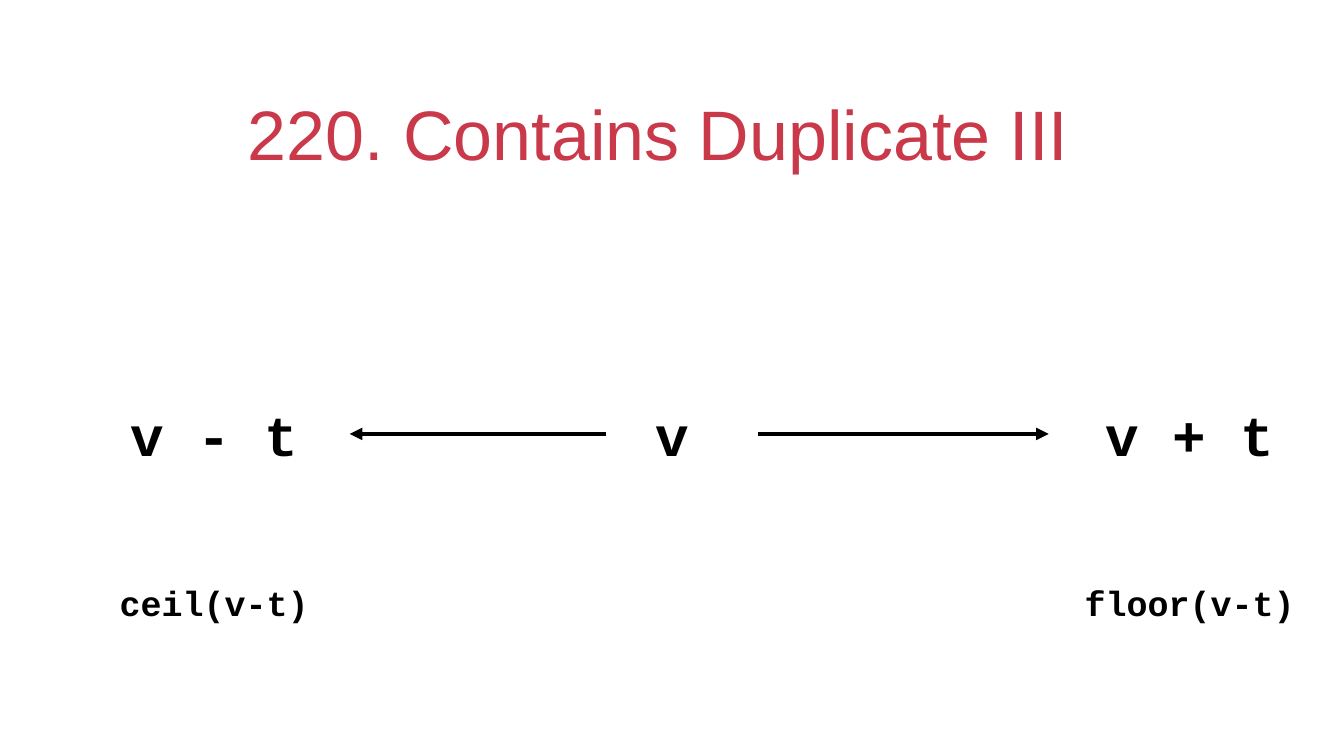
from lxml import etree
from pptx import Presentation
from pptx.dml.color import RGBColor
from pptx.enum.shapes import MSO_CONNECTOR
from pptx.enum.text import MSO_ANCHOR, MSO_AUTO_SIZE, PP_ALIGN
from pptx.oxml.ns import qn
from pptx.util import Inches, Pt

STRAIGHT = MSO_CONNECTOR.STRAIGHT
BOTTOM, MIDDLE = MSO_ANCHOR.BOTTOM, MSO_ANCHOR.MIDDLE
NO_FIT, GROW = MSO_AUTO_SIZE.NONE, MSO_AUTO_SIZE.SHAPE_TO_FIT_TEXT
CENTER = PP_ALIGN.CENTER

COLORS = {"title": "C9394A", "ink": "000000"}
WIDTH, HEIGHT = 26.67, 15
INSET = 0.06

TITLE = "220. Contains Duplicate III"
COLUMNS = {"low": 4.25, "value": WIDTH / 2, "high": 23.61}  # column centres
ROWS = {  # centre, box width, box height, text size
    "range": (8.61, 3.53, 1.4, 80),
    "lookup": (11.95, 5.76, 0.92, 50),
}
LABELS = [
    ("range", "low", "v - t"),
    ("range", "value", "v"),
    ("range", "high", "v + t"),
    ("lookup", "low", "ceil(v-t)"),
    ("lookup", "high", "floor(v-t)"),
]
ARROWS = [(12.03, 6.94), (15.05, 20.81)]  # start and head on the range row


def write(shape, text, font_name, size, color, anchor, fit, bold=False):
    frame = shape.text_frame
    frame.word_wrap = True
    frame.auto_size = fit
    frame.vertical_anchor = anchor
    frame.margin_left = frame.margin_right = Inches(INSET)
    frame.margin_top = frame.margin_bottom = Inches(INSET)
    paragraph = frame.paragraphs[0]
    paragraph.alignment = CENTER
    run = paragraph.add_run()
    run.text = text
    run.font.name = font_name
    run.font.size = Pt(size)
    run.font.bold = bold
    run.font.color.rgb = RGBColor.from_string(COLORS[color])


def add_title(slide):
    title = slide.shapes.title
    title.left, title.top = Inches(1.94), Inches(1.3)
    title.width, title.height = Inches(22.78), Inches(2.22)
    write(title, TITLE, "Arial", 100, "title", BOTTOM, NO_FIT)
    # A wider right inset sets the title slightly left of centre.
    title.text_frame.margin_right = Inches(0.6)


def add_label(slide, row, column, text):
    middle, width, height, size = ROWS[row]
    box = slide.shapes.add_textbox(
        Inches(COLUMNS[column] - width / 2), Inches(middle - height / 2),
        Inches(width), Inches(height))
    write(box, text, "Courier New", size, "ink", MIDDLE, GROW, bold=True)


def add_arrow(slide, start, head):
    y = Inches(ROWS["range"][0])
    arrow = slide.shapes.add_connector(STRAIGHT, Inches(start), y, Inches(head), y)
    arrow.line.width = Pt(6)
    arrow.line.color.rgb = RGBColor.from_string(COLORS["ink"])
    properties = arrow.line._get_or_add_ln()
    etree.SubElement(properties, qn("a:tailEnd"), type="triangle")
    etree.SubElement(properties.getparent(), qn("a:effectLst"))


def main():
    presentation = Presentation()
    presentation.slide_width = Inches(WIDTH)
    presentation.slide_height = Inches(HEIGHT)
    slide = presentation.slides.add_slide(presentation.slide_layouts[5])
    add_title(slide)
    for label in LABELS:
        add_label(slide, *label)
    for arrow in ARROWS:
        add_arrow(slide, *arrow)
    presentation.save("out.pptx")


if __name__ == "__main__":
    main()
